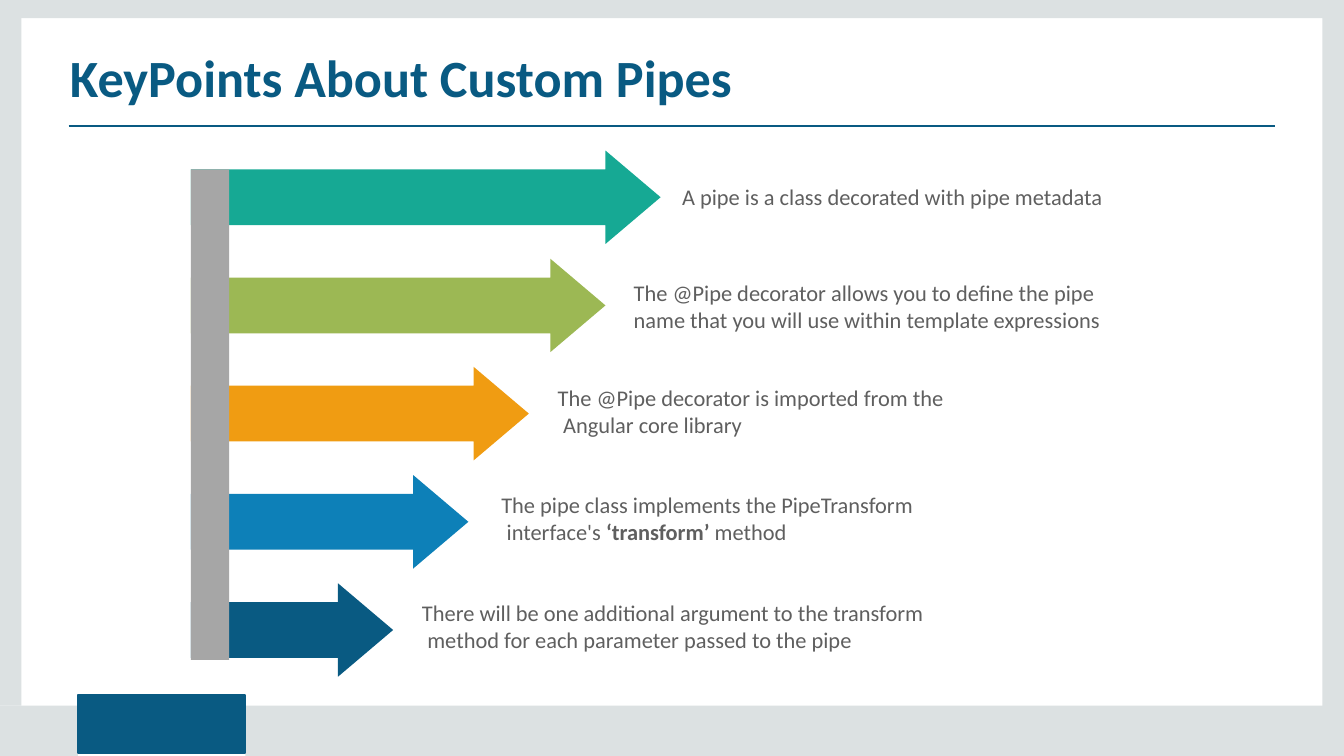
from pptx import Presentation
from pptx.dml.color import RGBColor
from pptx.enum.shapes import MSO_CONNECTOR, MSO_SHAPE
from pptx.enum.text import MSO_ANCHOR, MSO_AUTO_SIZE, PP_ALIGN
from pptx.oxml.ns import qn
from pptx.util import Inches, Pt

COLORS = {
    "frame": "DCE1E2", "navy": "095A82", "teal": "16A994", "green": "9CB854",
    "orange": "F09C12", "blue": "0D80B8", "gray": "A6A6A6", "text": "5F5F5F",
}
FONT = "Calibri"
TITLE = "KeyPoints About Custom Pipes"

# Color, arrow length, text left, text middle, hanging indent, lines of (text, bold) runs
POINTS = [
    ("teal", 6.99, 10.15, 2.92, 0, [[("A pipe is a class decorated with pipe metadata", False)]]),
    ("green", 6.17, 9.43, 4.55, 0, [
        [("The @Pipe decorator allows you to define the pipe", False)],
        [("name that you will use within template expressions", False)]]),
    ("orange", 5.03, 8.3, 6.12, 0.08, [
        [("The @Pipe decorator is imported from the", False)],
        [("Angular core library", False)]]),
    ("blue", 4.13, 7.46, 7.71, 0.08, [
        [("The pipe class implements the PipeTransform", False)],
        [("interface's ", False), ("‘transform’", True), (" method", False)]]),
    ("navy", 3.01, 6.28, 9.32, 0.08, [
        [("There will be one additional argument to the transform", False)],
        [("method for each parameter passed to the pipe", False)]]),
]

# Frame bands: left, top, width, height
FRAME = [
    (19.68, 0, 0.32, 11.2),
    (0, 0, 0.32, 10.5),
    (0, 10.5, 1.16, 0.75),
    (3.65, 10.5, 16.35, 0.75),
    (0, 0, 20, 0.27),
]
ARROW_LEFT, ARROW_TOP, ARROW_STEP = 2.84, 2.24, 1.61
ARROW_HEIGHT, SHAFT_HEIGHT, HEAD_LENGTH = 1.39, 0.83, 0.82
TEXT_WIDTH, TEXT_HEIGHT = 8, 0.9


def rgb(name):
    return RGBColor.from_string(COLORS[name])


def add_block(slide, kind, box, color):
    shape = slide.shapes.add_shape(kind, *map(Inches, box))
    shape.shadow.inherit = False
    shape.fill.solid()
    shape.fill.fore_color.rgb = rgb(color)
    shape.line.fill.background()
    return shape


def clear_margins(frame):
    frame.margin_left = frame.margin_right = frame.margin_top = frame.margin_bottom = 0
    frame.auto_size = MSO_AUTO_SIZE.NONE
    frame.word_wrap = True


def style(paragraph, size, color):
    paragraph.alignment = PP_ALIGN.LEFT
    font = paragraph.font
    font.name, font.size, font.color.rgb = FONT, Pt(size), rgb(color)


def add_point_text(slide, left, middle, hang, lines):
    box = slide.shapes.add_textbox(Inches(left), Inches(middle - TEXT_HEIGHT / 2),
                                   Inches(TEXT_WIDTH), Inches(TEXT_HEIGHT))
    frame = box.text_frame
    clear_margins(frame)
    frame.vertical_anchor = MSO_ANCHOR.MIDDLE
    paragraph = frame.paragraphs[0]
    properties = paragraph._p.get_or_add_pPr()
    properties.set("marL", str(Inches(hang)))
    properties.set("indent", str(-Inches(hang)))
    style(paragraph, 24, "text")
    for number, line in enumerate(lines):
        if number:
            paragraph.add_line_break()
        for text, bold in line:
            run = paragraph.add_run()
            run.text = text
            if bold:
                run.font.bold = True


def main():
    presentation = Presentation()
    presentation.slide_width, presentation.slide_height = Inches(20), Inches(11.25)
    slide = presentation.slides.add_slide(presentation.slide_layouts[5])

    # Frame and title
    for band in FRAME:
        add_block(slide, MSO_SHAPE.RECTANGLE, band, "frame")
    title = slide.shapes.title
    title.left, title.top, title.width, title.height = map(Inches, (1.04, 0.68, 17.9, 0.96))
    clear_margins(title.text_frame)
    title.text_frame.vertical_anchor = MSO_ANCHOR.TOP
    title.text_frame.text = TITLE
    style(title.text_frame.paragraphs[0], 56, "navy")
    title.text_frame.paragraphs[0].font.bold = True

    # Rule under the title
    rule = slide.shapes.add_connector(MSO_CONNECTOR.STRAIGHT, Inches(1.02), Inches(1.875),
                                      Inches(18.98), Inches(1.875))
    rule.line.color.rgb = rgb("navy")
    rule.line.width = Pt(2.16)
    properties = rule._element.spPr
    properties.append(properties.makeelement(qn("a:effectLst"), {}))

    # Arrows with their key points
    for row, (color, length, left, middle, hang, lines) in enumerate(POINTS):
        box = (ARROW_LEFT, ARROW_TOP + row * ARROW_STEP, length, ARROW_HEIGHT)
        arrow = add_block(slide, MSO_SHAPE.RIGHT_ARROW, box, color)
        arrow.adjustments[0] = SHAFT_HEIGHT / ARROW_HEIGHT
        arrow.adjustments[1] = HEAD_LENGTH / ARROW_HEIGHT
        add_point_text(slide, left, middle, hang, lines)

    # Post in front of the arrows, and the footer block
    add_block(slide, MSO_SHAPE.RECTANGLE, (ARROW_LEFT, 2.52, 0.57, 7.3), "gray")
    footer = add_block(slide, MSO_SHAPE.RECTANGLE, (1.16, 10.34, 2.49, 0.87), "navy")
    footer.line.color.rgb = rgb("navy")
    footer.line.width = Pt(2.04)

    presentation.save("out.pptx")


if __name__ == "__main__":
    main()
